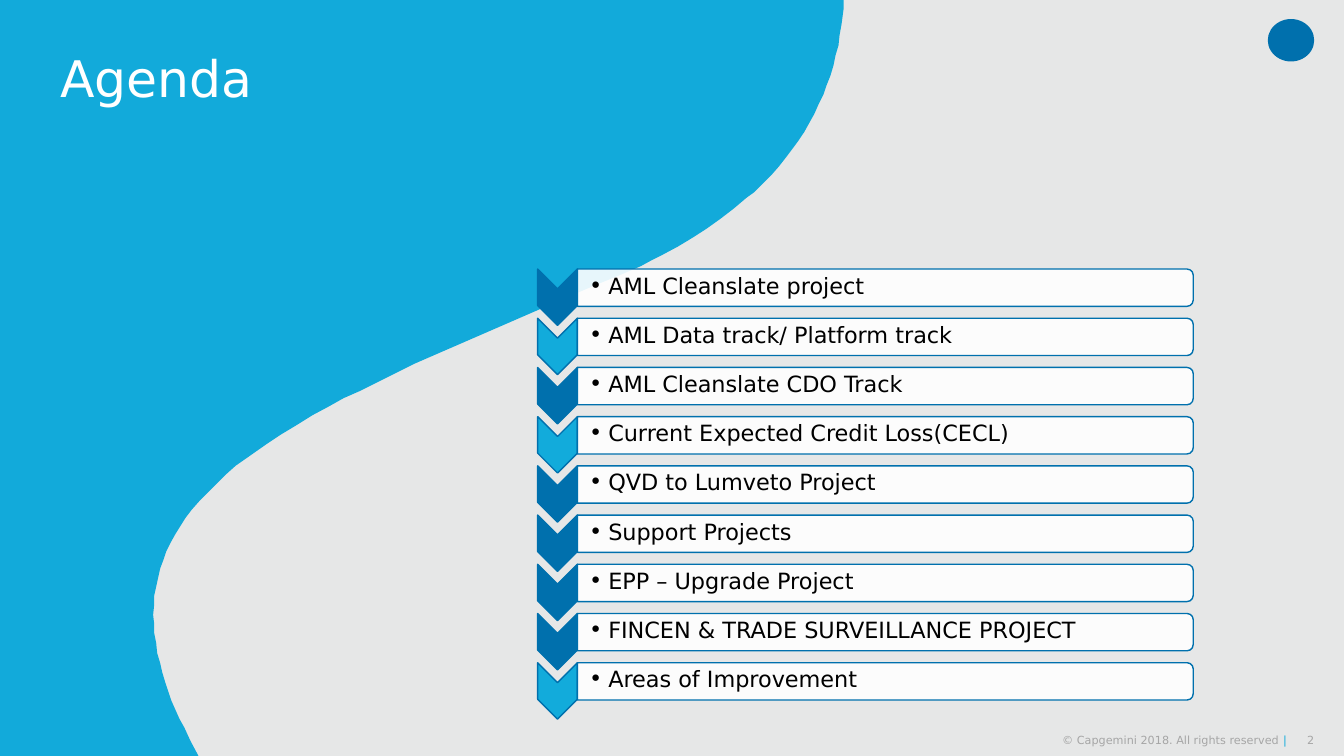
from lxml.etree import SubElement
from pptx import Presentation
from pptx.dml.color import RGBColor
from pptx.enum.shapes import MSO_SHAPE
from pptx.enum.text import MSO_ANCHOR, MSO_AUTO_SIZE, PP_ALIGN
from pptx.oxml.ns import qn
from pptx.util import Cm, Pt

FONT = "DejaVu Sans"
BACKGROUND = RGBColor(0xE6, 0xE7, 0xE7)
WAVE_BLUE = RGBColor(0x12, 0xAA, 0xDA)
LIGHT_BLUE = RGBColor(0x12, 0xAB, 0xDB)
DARK_BLUE = RGBColor(0x00, 0x70, 0xAD)
WHITE = RGBColor(0xFF, 0xFF, 0xFF)
BLACK = RGBColor(0x00, 0x00, 0x00)
GREY = RGBColor(0xA6, 0xA6, 0xA6)

AGENDA = [
    ("AML Cleanslate project", DARK_BLUE),
    ("AML Data track/ Platform track", LIGHT_BLUE),
    ("AML Cleanslate CDO Track", DARK_BLUE),
    ("Current Expected Credit Loss(CECL)", LIGHT_BLUE),
    ("QVD to Lumveto Project", DARK_BLUE),
    ("Support Projects", DARK_BLUE),
    ("EPP – Upgrade Project", DARK_BLUE),
    ("FINCEN & TRADE SURVEILLANCE PROJECT", DARK_BLUE),
    ("Areas of Improvement", LIGHT_BLUE),
]

WAVE_UNIT = Cm(0.0254)
WAVE_EDGE = [
    (837, 0), (837, 9), (835, 24), (833, 35), (832, 45), (829, 55), (827, 65),
    (824, 75), (820, 85), (817, 94), (812, 104), (808, 113), (803, 122),
    (798, 131), (792, 140), (786, 148), (780, 156), (773, 165), (766, 173),
    (760, 179), (754, 185), (748, 191), (741, 196), (728, 207), (715, 217),
    (701, 227), (687, 236), (672, 245), (657, 253), (647, 258), (636, 264),
    (615, 273), (593, 282), (572, 291), (526, 311), (480, 331), (434, 351),
    (411, 361), (389, 372), (357, 388), (341, 395), (325, 404), (310, 412),
    (294, 422), (279, 431), (264, 441), (254, 448), (244, 455), (234, 462),
    (225, 470), (216, 479), (207, 488), (198, 497), (190, 506), (184, 514),
    (179, 522), (174, 530), (169, 539), (165, 547), (162, 556), (159, 564),
    (157, 573), (155, 582), (153, 591), (153, 600), (152, 610), (153, 619),
    (153, 628), (155, 638), (156, 648), (159, 658), (161, 667), (164, 677),
    (167, 686), (170, 695), (174, 704), (178, 713), (183, 722), (189, 735),
    (197, 750),
]


def write_text(frame, text, size, color, align=PP_ALIGN.LEFT, line_spacing=1.0,
               anchor=MSO_ANCHOR.MIDDLE, insets=(0, 0, 0, 0), bullet_indent=None):
    """Add a formatted span to the first paragraph of a text frame."""
    frame.word_wrap = True
    frame.auto_size = MSO_AUTO_SIZE.NONE
    frame.vertical_anchor = anchor
    (frame.margin_left, frame.margin_top,
     frame.margin_right, frame.margin_bottom) = map(Cm, insets)
    para = frame.paragraphs[0]
    if bullet_indent:
        properties = para._p.get_or_add_pPr()
        properties.set("marL", str(Cm(bullet_indent)))
        properties.set("indent", str(-Cm(bullet_indent)))
        SubElement(properties, qn("a:buFont")).set("typeface", FONT)
        SubElement(properties, qn("a:buChar")).set("char", "•")
    para.alignment = align
    para.line_spacing = line_spacing
    para.space_before = Pt(0)
    span = para.add_run()
    span.text = text
    span.font.name = FONT
    span.font.size = Pt(size)
    span.font.color.rgb = color


def paint(shape, fill, line=None, opacity=100):
    """Give a shape a flat fill and an optional thin outline."""
    shape.shadow.inherit = False
    shape.fill.solid()
    shape.fill.fore_color.rgb = fill
    if opacity < 100:
        color = shape.element.spPr.find(qn("a:solidFill"))[0]
        SubElement(color, qn("a:alpha")).set("val", str(opacity * 1000))
    if line is None:
        shape.line.fill.background()
    else:
        shape.line.color.rgb = line
        shape.line.width = Pt(1)


def add_turned_shape(page, kind, left, top, width, height):
    """Add a shape turned clockwise by 90° that fills the given box in cm."""
    shape = page.shapes.add_shape(
        kind, Cm(left + (width - height) / 2), Cm(top + (height - width) / 2),
        Cm(height), Cm(width))
    shape.rotation = 90
    return shape


def add_backdrop(page):
    """Set the background, with the blue wave behind everything else."""
    page.background.fill.solid()
    page.background.fill.fore_color.rgb = BACKGROUND
    builder = page.shapes.build_freeform(0, 0, scale=WAVE_UNIT)
    builder.add_line_segments(WAVE_EDGE + [(0, 750)], close=True)
    wave = builder.convert_to_shape()
    paint(wave, WAVE_BLUE)
    page.shapes.element.insert(2, wave.element)


def add_heading(page, text, left, top, width, height):
    """Place the slide title in the given box."""
    title = page.shapes.title
    title.left, title.top = Cm(left), Cm(top)
    title.width, title.height = Cm(width), Cm(height)
    write_text(title.text_frame, text, 36, WHITE, line_spacing=0.9,
               anchor=MSO_ANCHOR.TOP, insets=(0.25, 0.13, 0.25, 0.13))


def add_agenda_row(page, text, color, left, top, width, height):
    """Draw one agenda row: a downward chevron and a labelled bar."""
    chevron_width, chevron_height = 1.0, 1.42
    bar_left, bar_width = left + chevron_width, width - chevron_width
    chevron = add_turned_shape(page, MSO_SHAPE.CHEVRON, left, top,
                               chevron_width, chevron_height)
    paint(chevron, color, DARK_BLUE)
    bar = add_turned_shape(page, MSO_SHAPE.ROUND_2_SAME_RECTANGLE, bar_left, top,
                           bar_width, height)
    paint(bar, WHITE, DARK_BLUE, opacity=90)
    label = page.shapes.add_textbox(Cm(bar_left), Cm(top + 0.03),
                                    Cm(bar_width - 0.05), Cm(height - 0.1))
    write_text(label.text_frame, text, 16, BLACK, line_spacing=0.9,
               insets=(0.3, 0.03, 0.03, 0.03), bullet_indent=0.48)


def add_agenda(page, left, top, width, pitch):
    """Stack the agenda rows at an even pitch."""
    for index, (text, color) in enumerate(AGENDA):
        add_agenda_row(page, text, color, left, top + index * pitch, width, 0.94)


def add_footer(page, left, top, width, height):
    """Place the copyright line and the page number in the given box."""
    number_width = 0.69
    notice = page.shapes.add_textbox(Cm(left), Cm(top), Cm(width - number_width),
                                     Cm(height))
    for text, color in (("© Capgemini 2018. All rights reserved ", GREY),
                        ("|", LIGHT_BLUE)):
        write_text(notice.text_frame, text, 8, color, align=PP_ALIGN.RIGHT)
    number = page.shapes.add_textbox(Cm(left + width - number_width), Cm(top),
                                     Cm(number_width), Cm(height))
    write_text(number.text_frame, "2", 8, GREY, align=PP_ALIGN.RIGHT)


def add_emblem(page, left, top, width, height):
    """Draw a plain oval in the emblem corner."""
    emblem = page.shapes.add_shape(MSO_SHAPE.OVAL, Cm(left), Cm(top),
                                   Cm(width), Cm(height))
    paint(emblem, DARK_BLUE)


def main():
    """Build the agenda slide and save the deck."""
    deck = Presentation()
    deck.slide_width, deck.slide_height = Cm(33.87), Cm(19.05)
    page = deck.slides.add_slide(deck.slide_layouts.get_by_name("Title Only"))
    add_backdrop(page)
    add_emblem(page, 31.95, 0.48, 1.17, 1.07)
    add_footer(page, 25.04, 18.47, 8.08, 0.36)
    add_heading(page, "Agenda", 1.27, 1.22, 15.06, 5.28)
    add_agenda(page, 13.55, 6.78, 16.52, 1.24)
    deck.save("out.pptx")


if __name__ == "__main__":
    main()
